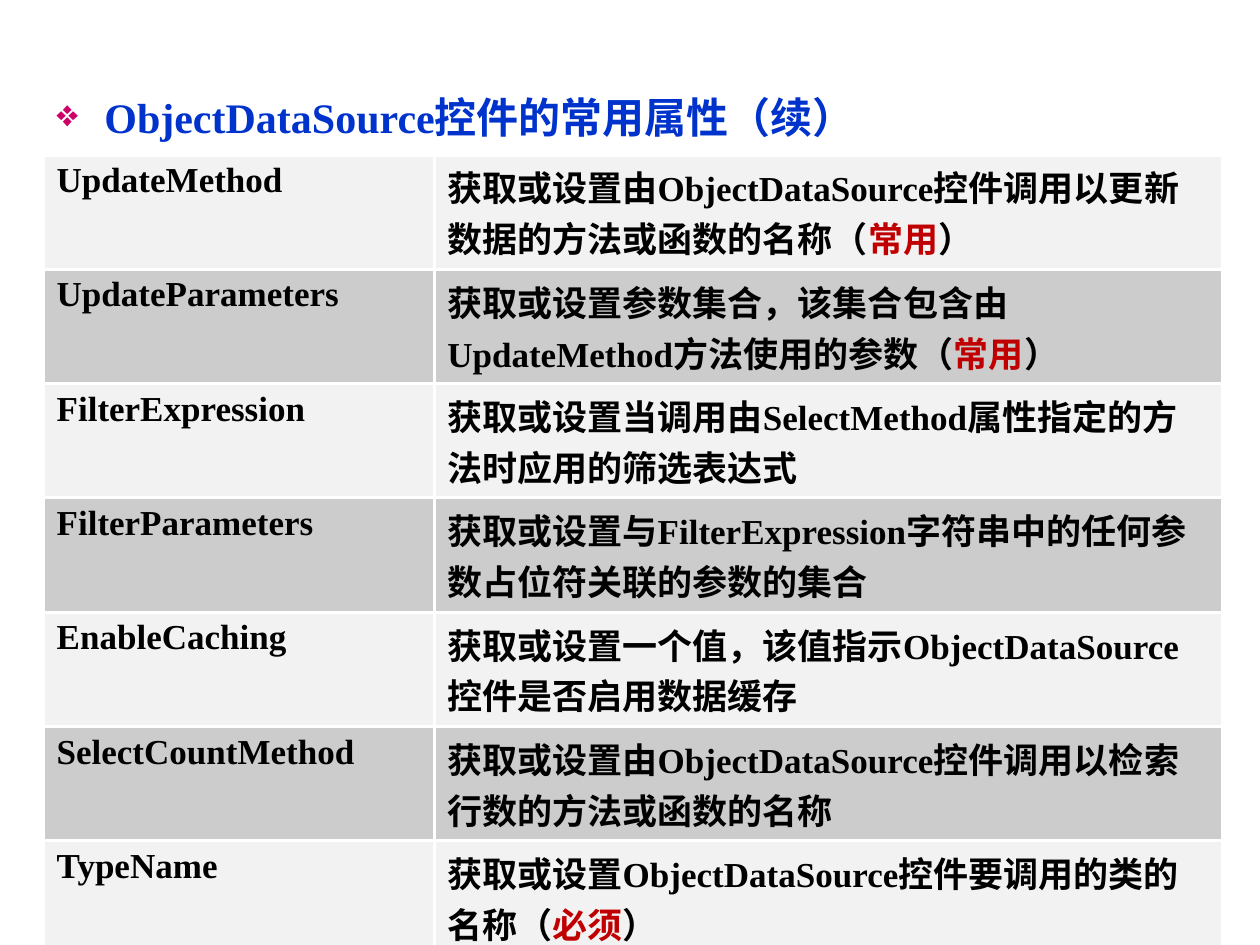
import pptx
import pptx.util
import pptx.dml.color
import pptx.oxml
import pptx.oxml.ns
from pptx.util import Inches

COLORS = {"title": "0033CC", "bullet": "CC0066", "text": "000000",
          "key": "C00000", "light": "F2F2F2", "dark": "CCCCCC",
          "line": "FFFFFF"}
FONT = {"name": "Times New Roman", "bold": True}
LEFT, WIDTH = 0.35, 9.35
COLS = (3.1, 6.25)
HEIGHT = 6.35

# Property name, text, marked word
ROWS = [
    ("UpdateMethod",
     "获取或设置由ObjectDataSource控件调用以更新数据的方法或函数的名称", "常用"),
    ("UpdateParameters",
     "获取或设置参数集合，该集合包含由UpdateMethod方法使用的参数", "常用"),
    ("FilterExpression",
     "获取或设置当调用由SelectMethod属性指定的方法时应用的筛选表达式", None),
    ("FilterParameters",
     "获取或设置与FilterExpression字符串中的任何参数占位符关联的参数的集合", None),
    ("EnableCaching",
     "获取或设置一个值，该值指示ObjectDataSource控件是否启用数据缓存", None),
    ("SelectCountMethod",
     "获取或设置由ObjectDataSource控件调用以检索行数的方法或函数的名称", None),
    ("TypeName",
     "获取或设置ObjectDataSource控件要调用的类的名称", "必须"),
]


def rgb(name):
    return pptx.dml.color.RGBColor.from_string(COLORS[name])


def set_all(obj, values):
    for name, value in values.items():
        setattr(obj, name, value)


def add_run(para, text, size, color):
    run = para.add_run()
    run.text = text
    set_all(run.font, {**FONT, "size": pptx.util.Pt(size)})
    run.font.color.rgb = rgb(color)


def add_xml(parent, body):
    tag, rest = body.split(" ", 1)
    ns = pptx.oxml.ns.nsdecls("a")
    parent.append(pptx.oxml.parse_xml(f"<a:{tag} {ns} {rest}"))


def add_title(slide, text):
    box = slide.shapes.add_textbox(
        Inches(LEFT), Inches(0.68), Inches(WIDTH), Inches(0.94))
    box.text_frame.word_wrap = True
    para = box.text_frame.paragraphs[0]
    add_run(para, text, 24, "title")
    # Hanging diamond bullet
    props = para._p.get_or_add_pPr()
    props.set("marL", str(Inches(0.38)))
    props.set("indent", str(Inches(-0.38)))
    add_xml(props, f'buClr ><a:srgbClr val="{COLORS["bullet"]}"/></a:buClr>')
    add_xml(props, 'buSzPct val="90000"/>')
    add_xml(props, 'buChar char="❖"/>')


def add_edges(cell, sides):
    props = cell._tc.get_or_add_tcPr()
    for side in sides:
        add_xml(props, f'ln{side} w="{pptx.util.Pt(2)}"><a:solidFill>'
                       f'<a:srgbClr val="{COLORS["line"]}"/>'
                       f'</a:solidFill></a:ln{side}>')


def fill_cell(cell, parts, fill, sides):
    add_edges(cell, sides)
    cell.fill.solid()
    cell.fill.fore_color.rgb = rgb(fill)
    for text, color in parts:
        add_run(cell.text_frame.paragraphs[0], text, 20, color)


def add_grid(slide):
    count = len(ROWS)
    table = slide.shapes.add_table(
        count, len(COLS), Inches(LEFT), Inches(1.23),
        Inches(WIDTH), Inches(HEIGHT)).table
    set_all(table, {"first_row": False, "horz_banding": False})
    for col, width in zip(table.columns, COLS):
        col.width = Inches(width)
    for i, (name, text, mark) in enumerate(ROWS):
        fill = "dark" if i % 2 else "light"
        ends = "T" if i == count - 1 else "TB"
        parts = [(text, "text")]
        if mark:
            parts = [(text + "（", "text"), (mark, "key"), ("）", "text")]
        fill_cell(table.cell(i, 0), [(name, "text")], fill, "R" + ends)
        fill_cell(table.cell(i, 1), parts, fill, "L" + ends)


def main():
    deck = pptx.Presentation()
    set_all(deck, {"slide_width": Inches(10), "slide_height": Inches(7.5)})
    slide = deck.slides.add_slide(deck.slide_layouts[6])
    add_title(slide, "ObjectDataSource控件的常用属性（续）")
    add_grid(slide)
    deck.save("out.pptx")


main()
